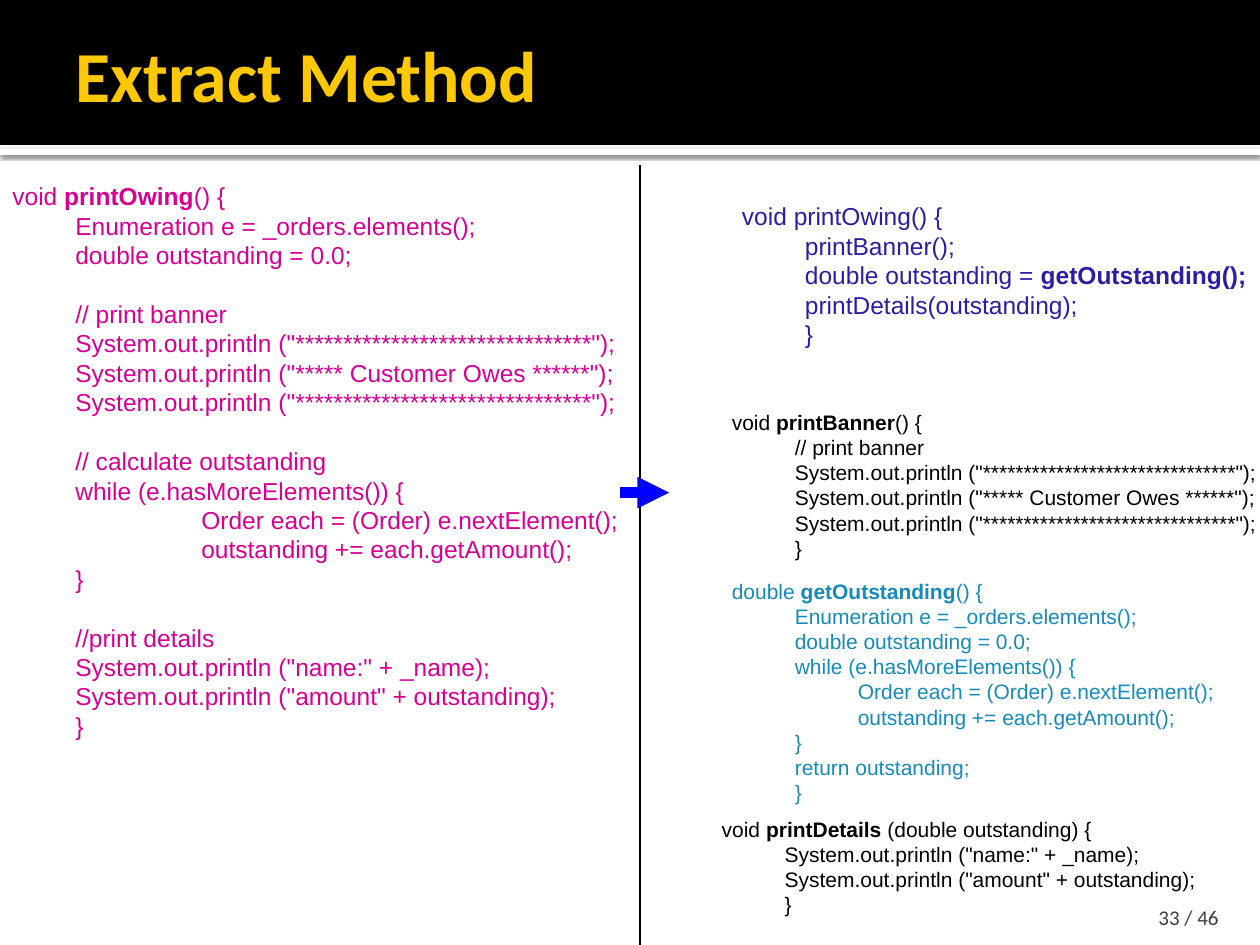
import pptx
import pptx.util
import pptx.dml.color
import pptx.enum.shapes
import pptx.enum.text
import pptx.oxml
import pptx.oxml.ns
import lxml.etree

Inches = pptx.util.Inches
Pt = pptx.util.Pt
Align = pptx.enum.text.PP_ALIGN
Anchor = pptx.enum.text.MSO_ANCHOR

COLORS = {
    "black": "000000",
    "white": "FFFFFF",
    "gold": "FFC800",
    "gray": "3F3F3F",
    "pink": "D60093",
    "violet": "2D1DA3",
    "teal": "168BBA",
    "blue": "0000FF",
}

STARS = 'System.out.println ("' + "*" * 31 + '");'
BANNER = [
    (1, "// print banner"),
    (1, STARS),
    (1, 'System.out.println ("***** Customer Owes ******");'),
    (1, STARS),
]
SETUP = [
    (1, "Enumeration e = _orders.elements();"),
    (1, "double outstanding = 0.0;"),
]
LOOP = "while (e.hasMoreElements()) {"
BODY = ["Order each = (Order) e.nextElement();", "outstanding += each.getAmount();"]
DETAILS = [
    (1, 'System.out.println ("name:" + _name);'),
    (1, 'System.out.println ("amount" + outstanding);'),
]
CLOSE = [(1, "}")]
GAP = [(1, "")]

BEFORE = (
    [(0, "void |printOwing|() {")] + SETUP + GAP + BANNER + GAP
    + [(1, "// calculate outstanding"), (1, LOOP)]
    + [(3, line) for line in BODY] + CLOSE + GAP
    + [(1, "//print details")] + DETAILS + CLOSE
)
OWING = [
    (0, "void printOwing() {"),
    (1, "printBanner();"),
    (1, "double outstanding = |getOutstanding();"),
    (1, "printDetails(outstanding);"),
] + CLOSE
TOTAL = (
    [(0, "double |getOutstanding|() {")] + SETUP + [(1, LOOP)]
    + [(2, line) for line in BODY] + CLOSE
    + [(1, "return outstanding;")] + CLOSE
)
PRINT = [(0, "void |printBanner|() {")] + BANNER + CLOSE
SHOW = [(0, "void |printDetails| (double outstanding) {")] + DETAILS + CLOSE


class Deck:
    def __init__(self, slide):
        self.slide = slide
        self.step = 0.5
        self.ratio = 1.2

    def color(self, name):
        return pptx.dml.color.RGBColor.from_string(COLORS[name])

    def band(self, top, high, fill, shade=False):
        shape = self.slide.shapes.add_shape(
            pptx.enum.shapes.MSO_SHAPE.RECTANGLE, 0, Inches(top), Inches(10), Inches(high))
        shape.shadow.inherit = False
        shape.fill.solid()
        shape.fill.fore_color.rgb = self.color(fill)
        shape.line.fill.background()
        if shade:
            effect = shape._element.spPr.find(pptx.oxml.ns.qn("a:effectLst"))
            effect.append(pptx.oxml.parse_xml(
                f'<a:outerShdw {pptx.oxml.ns.nsdecls("a")} blurRad="31750" dist="10160" '
                'dir="5400000" algn="tl" rotWithShape="0"><a:srgbClr val="000000">'
                '<a:alpha val="60000"/></a:srgbClr></a:outerShdw>'))

    def box(self, left, top, wide, high):
        shape = self.slide.shapes.add_textbox(
            Inches(left), Inches(top), Inches(wide), Inches(high))
        shape.text_frame.word_wrap = True
        return shape.text_frame

    def style(self, para, face, size, color, bold=None):
        para.font.name = face
        para.font.size = Pt(size)
        para.font.color.rgb = self.color(color)
        if bold is not None:
            para.font.bold = bold

    def label(self, place, text, size, color, bold=False, align=Align.LEFT,
              anchor=Anchor.MIDDLE, right=0.1, bottom=0.05):
        frame = self.box(*place)
        frame.vertical_anchor = anchor
        frame.margin_right = Inches(right)
        frame.margin_bottom = Inches(bottom)
        para = frame.paragraphs[0]
        para.text = text
        para.alignment = align
        self.style(para, "Calibri", size, color, bold)

    def code(self, place, lines, size, color):
        frame = self.box(*place)
        para, gap = frame.paragraphs[0], 0
        for index, (level, text) in enumerate(lines):
            if not text:
                gap = size * self.ratio
                continue
            if index:
                para = frame.add_paragraph()
            props = para._p.get_or_add_pPr()
            props.set("marL", str(Inches(level * self.step)))
            props.set("indent", "0")
            para.line_spacing = Pt(size * self.ratio)
            if gap:
                para.space_before = Pt(gap)
                gap = 0
            parts = text.split("|")
            for order, part in enumerate(parts):
                if part:
                    run = para.add_run()
                    run.text = part
                    if len(parts) > 1:
                        run.font.bold = order % 2 == 1
            self.style(para, "Arial", size, color)

    def line(self, start, end, color, width, arrow=False):
        line = self.slide.shapes.add_connector(
            pptx.enum.shapes.MSO_CONNECTOR.STRAIGHT,
            *(Inches(value) for value in start + end))
        line.line.color.rgb = self.color(color)
        line.line.width = Pt(width)
        props = line._element.spPr
        if arrow:
            stroke = props.find(pptx.oxml.ns.qn("a:ln"))
            lxml.etree.SubElement(stroke, pptx.oxml.ns.qn("a:tailEnd"), type="triangle")
        lxml.etree.SubElement(props, pptx.oxml.ns.qn("a:effectLst"))


def main():
    show = pptx.Presentation()
    show.slide_width, show.slide_height = Inches(10), Inches(7.5)
    deck = Deck(show.slides.add_slide(show.slide_layouts[6]))
    deck.band(1.18, 0.05, "white", shade=True)
    deck.band(0, 1.15, "black")
    deck.label((8.97, 7.08, 0.8, 0.3), "33 / 46", 12, "gray",
               align=Align.RIGHT, anchor=Anchor.BOTTOM, bottom=0)
    deck.label((0.5, 0.17, 9, 0.83), "Extract Method", 41, "gold", bold=True, right=0.05)
    deck.code((0, 1.39, 5.16, 4.52), BEFORE, 14, "pink")
    deck.code((5.79, 1.55, 4.21, 1.26), OWING, 14, "violet")
    deck.code((5.71, 4.54, 4.29, 1.9), TOTAL, 12, "teal")
    deck.code((5.71, 3.2, 4.41, 1.3), PRINT, 12, "black")
    deck.code((5.63, 6.43, 5, 0.9), SHOW, 12, "black")
    deck.line((5.08, 1.31), (5.08, 7.5), "black", 0.75)
    deck.line((4.92, 3.91), (5.31, 3.91), "blue", 6, arrow=True)
    show.save("out.pptx")


if __name__ == "__main__":
    main()
